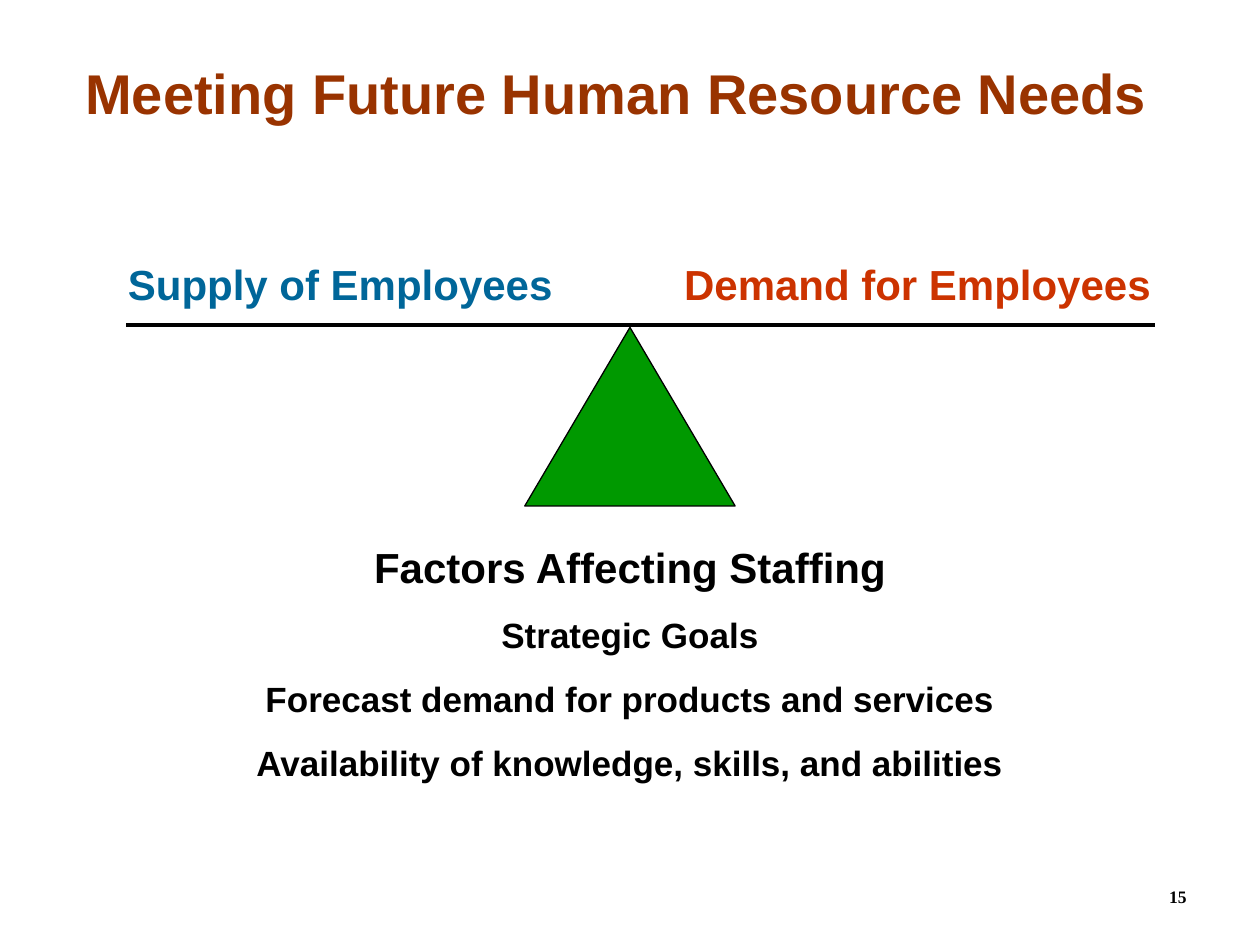
from pptx import Presentation
from pptx.dml.color import RGBColor
from pptx.enum.shapes import MSO_CONNECTOR as Conn, MSO_SHAPE as Shape
from pptx.enum.text import MSO_ANCHOR as Anchor, PP_ALIGN as Align
from pptx.oxml.ns import qn
from pptx.util import Cm, Pt

BLACK = RGBColor(0x00, 0x00, 0x00)
BROWN = RGBColor(0x99, 0x33, 0x00)
BLUE = RGBColor(0x00, 0x66, 0x99)
RED = RGBColor(0xCC, 0x33, 0x00)
GREEN = RGBColor(0x00, 0x99, 0x00)

TITLE = "Meeting Future Human Resource Needs"
SIDES = [
    ("Supply of Employees", 2.33, 9.2, BLUE, Align.LEFT),
    ("Demand for Employees", 13.25, 10.2, RED, Align.RIGHT),
]
HEAD = "Factors Affecting Staffing"
FACTORS = [
    "Strategic Goals",
    "Forecast demand for products and services",
    "Availability of knowledge, skills, and abilities",
]
PAGE = "15"

WIDTH, HEIGHT = 25.4, 19.05
MID = WIDTH / 2
BEAM = (2.54, 23.29, 6.56)
BASE, RISE, TOP = 4.24, 3.6, 6.6


def add_text(slide, box, lines, sizes, color=BLACK, font="Arial",
             align=Align.LEFT, anchor=Anchor.TOP, gap=0, pad=0.25):
    frame = slide.shapes.add_textbox(*map(Cm, box)).text_frame
    frame.word_wrap = True
    frame.vertical_anchor = anchor
    frame.margin_left = frame.margin_right = Cm(pad)
    frame.margin_top = frame.margin_bottom = Cm(0.13)
    for i, (line, size) in enumerate(zip(lines, sizes)):
        para = frame.add_paragraph() if i else frame.paragraphs[0]
        para.alignment = align
        if i:
            para.space_before = Pt(gap)
        run = para.add_run()
        run.text = line
        run.font.name = font
        run.font.size = Pt(size)
        run.font.bold = True
        run.font.color.rgb = color


def add_scale(slide):
    prop = slide.shapes.add_shape(
        Shape.ISOSCELES_TRIANGLE,
        Cm(MID - BASE / 2), Cm(TOP), Cm(BASE), Cm(RISE))
    prop.shadow.inherit = False
    prop.fill.solid()
    prop.fill.fore_color.rgb = GREEN
    prop.line.color.rgb = BLACK
    prop.line.width = Pt(0.75)

    left, right, y = map(Cm, BEAM)
    beam = slide.shapes.add_connector(Conn.STRAIGHT, left, y, right, y)
    beam.line.color.rgb = BLACK
    beam.line.width = Pt(2.25)
    props = beam._element.spPr
    props.append(props.makeelement(qn("a:effectLst"), {}))


def main():
    deck = Presentation()
    deck.slide_width, deck.slide_height = Cm(WIDTH), Cm(HEIGHT)
    slide = deck.slides.add_slide(deck.slide_layouts[6])

    add_text(slide, (1.47, 1.05, 22.43, 1.63), [TITLE], [32], color=BROWN)
    add_scale(slide)
    for label, left, width, color, align in SIDES:
        add_text(slide, (left, 5.08, width, 1.27), [label], [24],
                 color=color, align=align)
    add_text(slide, (3.81, 10.78, 17.78, 5.13), [HEAD] + FACTORS,
             [24] + [20] * len(FACTORS), align=Align.CENTER, gap=12.5)
    add_text(slide, (17.78, 17.15, 6.14, 1.27), [PAGE], [10],
             font="Times New Roman", align=Align.RIGHT,
             anchor=Anchor.BOTTOM, pad=0)
    deck.save("out.pptx")


if __name__ == "__main__":
    main()
